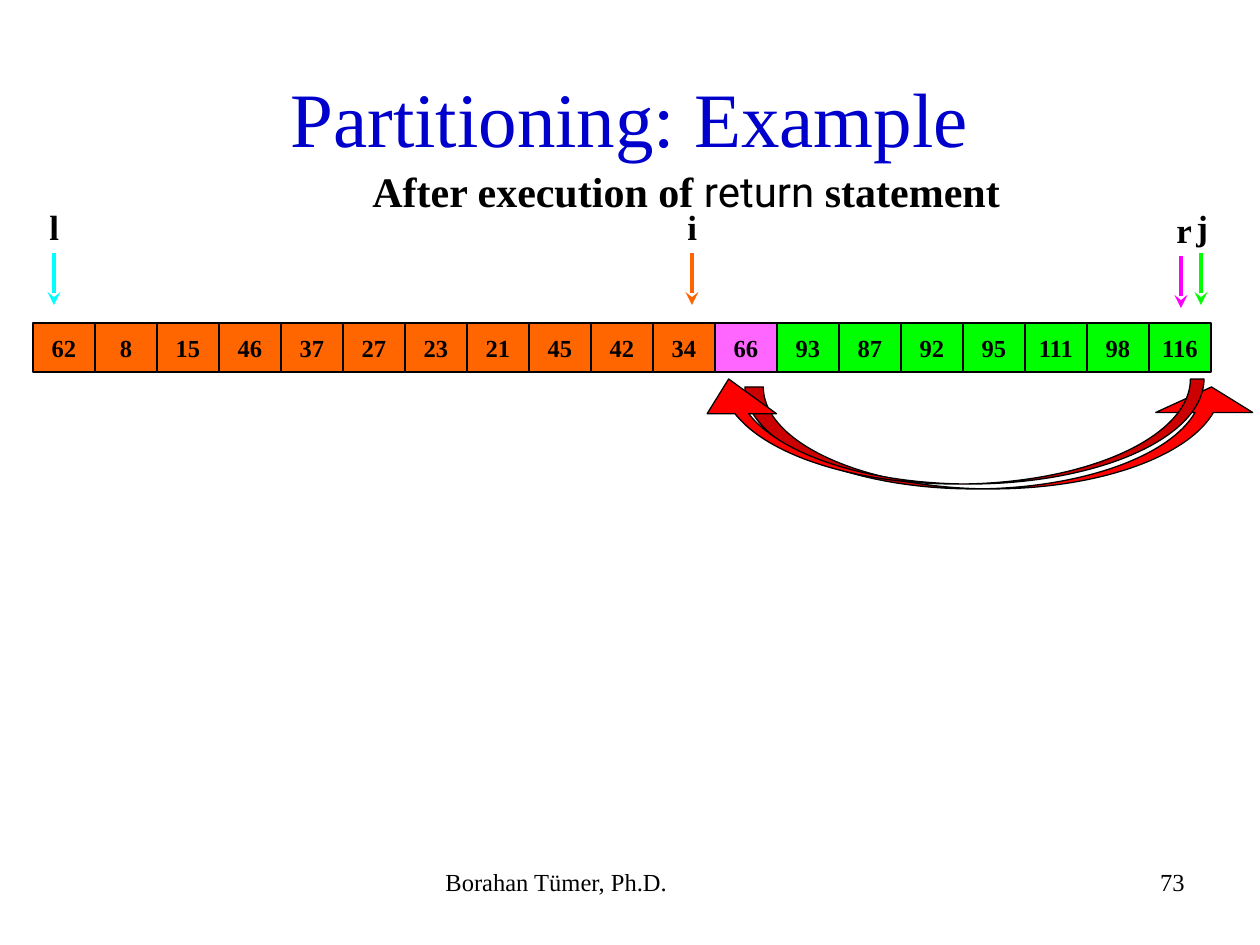
from dataclasses import dataclass

from lxml import etree
from pptx import Presentation, util as u
from pptx.dml.color import RGBColor
from pptx.enum import shapes, text
from pptx.oxml.ns import qn

PX = 914400 // 126  # EMU in one px
SERIF, SANS = "Times New Roman", "Roboto"
COLORS = {
    "title": "0000CC", "ink": "000000", "low": "FF6600", "pivot": "FF66FF",
    "high": "00FF00", "left": "00FFFF", "right": "FF00FF", "swap": "FF0000",
}
CELL_LEFT, CELL_TOP, CELL_WIDTH, CELL_HEIGHT = 33, 323, 62, 49
VALUES = {
    "low": [62, 8, 15, 46, 37, 27, 23, 21, 45, 42, 34],
    "pivot": [66],
    "high": [93, 87, 92, 95, 111, 98, 116],
}


@dataclass
class Marker:
    label: str
    x: int
    top: int
    width: int
    color: str


@dataclass
class SwapArrow:
    preset: shapes.MSO_SHAPE
    box: tuple[int, int, int, int]
    rotation: int
    adjustments: tuple[float, float, float]


MARKERS = [
    Marker("r", 1181, 202, 40, "right"),
    Marker("i", 692, 199, 34, "low"),
    Marker("l", 54, 199, 34, "left"),
    Marker("j", 1201, 199, 37, "high"),
]
SWAP_ARROWS = [
    SwapArrow(shapes.MSO_SHAPE.CURVED_UP_ARROW, (745, 387, 515, 102), 0,
              (0.18, 0.95, 0.25)),
    SwapArrow(shapes.MSO_SHAPE.CURVED_DOWN_ARROW, (694, 379, 510, 105), 180,
              (0.13, 0.66, 0.33)),
]


def px(*lengths: int) -> list[int]:
    return [u.Emu(length * PX) for length in lengths]


def rgb(name: str) -> RGBColor:
    return RGBColor.from_string(COLORS[name])


def style(font, size: int, bold: bool = False, color: str = "ink",
          face: str = SERIF) -> None:
    font.name, font.size, font.bold = face, u.Pt(size), bold
    font.color.rgb = rgb(color)


def add_text(parent, words: str, box: tuple[int, int, int, int], size: int,
             align=text.PP_ALIGN.LEFT, wrap: bool = False, bold: bool = False,
             color: str = "ink", anchor=text.MSO_ANCHOR.TOP):
    frame = parent.add_textbox(*px(*box)).text_frame
    frame.word_wrap, frame.vertical_anchor = wrap, anchor
    frame.text = words
    line = frame.paragraphs[0]
    line.alignment = align
    style(line.runs[0].font, size, bold, color)
    return line


def add_outlined(parent, preset, box: tuple[int, int, int, int], fill: str):
    shape = parent.add_shape(preset, *px(*box))
    shape.shadow.inherit = False
    shape.fill.solid()
    shape.fill.fore_color.rgb = rgb(fill)
    shape.line.color.rgb = rgb("ink")
    shape.line.width = u.Pt(0.75)
    return shape


def add_cell(parent, index: int, value: int, fill: str) -> None:
    box = (CELL_LEFT + index * CELL_WIDTH, CELL_TOP, CELL_WIDTH, CELL_HEIGHT)
    frame = add_outlined(parent, shapes.MSO_SHAPE.RECTANGLE, box, fill).text_frame
    frame.word_wrap, frame.vertical_anchor = False, text.MSO_ANCHOR.MIDDLE
    frame.text = str(value)
    frame.paragraphs[0].alignment = text.PP_ALIGN.CENTER
    style(frame.paragraphs[0].runs[0].font, 14, bold=True)


def add_marker(parent, marker: Marker) -> None:
    """Group an index name with the arrow that points down at its cell."""
    group = parent.add_group_shape().shapes
    arrow = group.add_connector(
        shapes.MSO_CONNECTOR.STRAIGHT,
        *px(marker.x, marker.top + 54, marker.x, marker.top + 106))
    arrow.line.color.rgb = rgb(marker.color)
    arrow.line.width = u.Pt(2.5)
    etree.SubElement(arrow.line._get_or_add_ln(), qn("a:tailEnd"), type="stealth")
    etree.SubElement(arrow._element.spPr, qn("a:effectLst"))
    add_text(group, marker.label, (marker.x - 17, marker.top, marker.width, 55),
             20, bold=True)


def add_swap_arrow(parent, arrow: SwapArrow) -> None:
    shape = add_outlined(parent, arrow.preset, arrow.box, "swap")
    shape.rotation = arrow.rotation
    for index, value in enumerate(arrow.adjustments):
        shape.adjustments[index] = value


def main() -> None:
    deck = Presentation()
    deck.slide_width, deck.slide_height = px(1260, 945)
    canvas = deck.slides.add_slide(deck.slide_layouts[6]).shapes

    add_text(canvas, "Partitioning: Example", (63, 38, 1134, 157), 44,
             text.PP_ALIGN.CENTER, wrap=True, color="title",
             anchor=text.MSO_ANCHOR.MIDDLE)

    cells = [(value, part) for part, values in VALUES.items() for value in values]
    for index, (value, part) in enumerate(cells):
        add_cell(canvas, index, value, part)
    for marker in MARKERS:
        add_marker(canvas, marker)

    caption = add_text(canvas, "After execution of ", (360, 159, 668, 63), 24,
                       bold=True)
    for words, bold, face in (("return", False, SANS), (" statement", True, SERIF)):
        run = caption.add_run()
        run.text = words
        style(run.font, 24, bold, face=face)

    for arrow in SWAP_ARROWS:
        add_swap_arrow(canvas, arrow)

    add_text(canvas, "Borahan Tümer, Ph.D.", (433, 861, 399, 65), 14, wrap=True)
    add_text(canvas, "73", (903, 861, 294, 65), 14, text.PP_ALIGN.RIGHT, wrap=True)
    deck.save("out.pptx")


if __name__ == "__main__":
    main()
